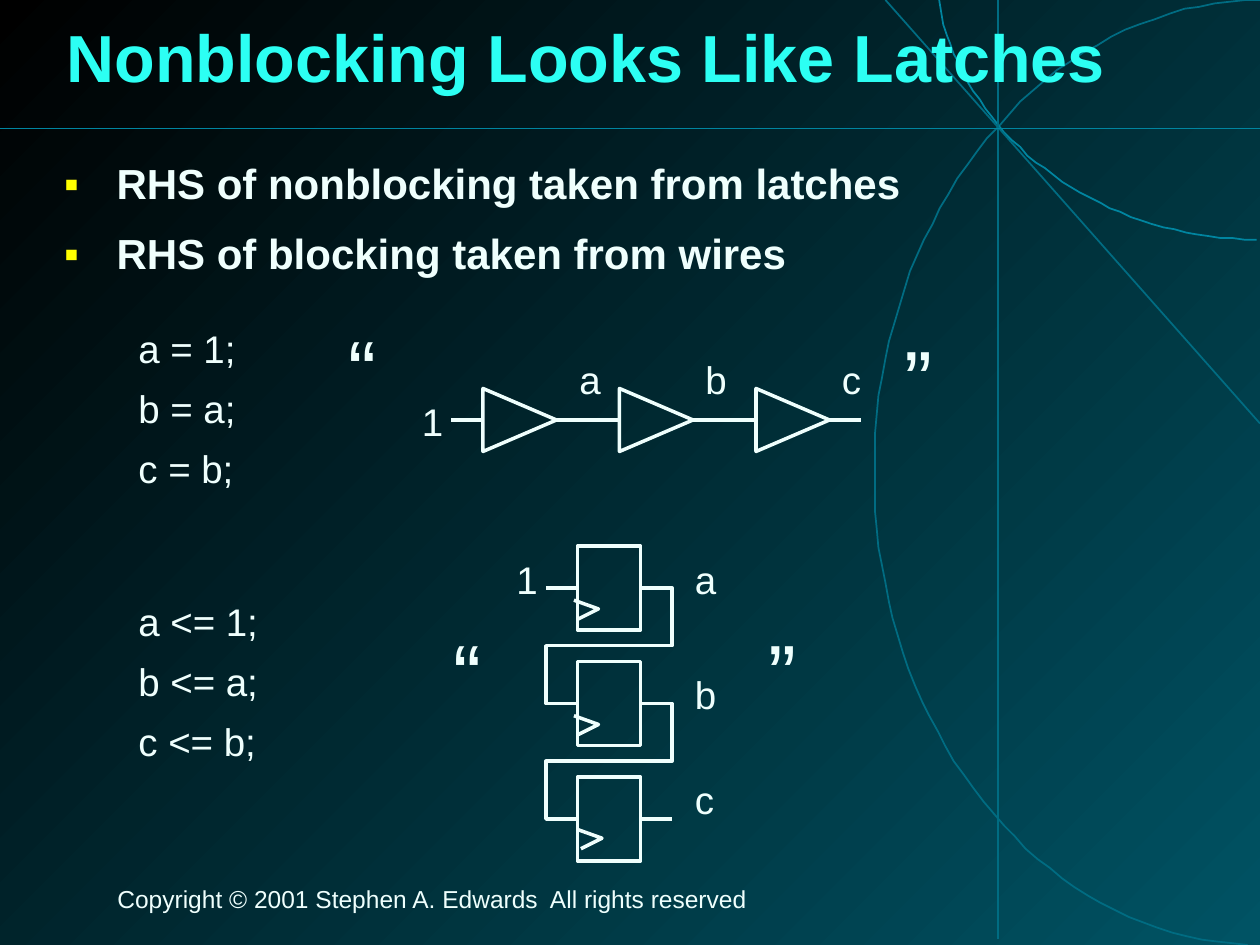
from typing import NamedTuple

from lxml.etree import SubElement
from pptx import Presentation
from pptx.dml.color import RGBColor
from pptx.enum.shapes import MSO_CONNECTOR as Connector, MSO_SHAPE as Shape
from pptx.enum.text import MSO_ANCHOR as Anchor
from pptx.oxml import parse_xml
from pptx.oxml.ns import nsdecls, qn
from pptx.util import Pt

FONT = "Arial"
COLORS = {
    "gradient_start": "000000",
    "gradient_end": "005364",
    "guide": "006C82",
    "bright_guide": "0085A0",
    "title": "2CFFF3",
    "ink": "EFFFFD",
    "bullet": "FFFF00",
}
CURVE_STEPS = 40
CENTER_X = 348  # flip-flop column
FLOP_WIDTH, FLOP_HEIGHT, FLOP_PITCH, FLOP_TOP = 36, 48, 66, 312
LEAD = 18  # wire length beside a flip-flop
BUFFER_WIDTH, BUFFER_HEIGHT, BUFFER_PITCH = 42, 36, 78
BUFFER_LEFT, BUFFER_Y = 276, 240

Point = tuple[float, float]


class TextBlock(NamedTuple):
    left: float
    top: float
    width: float
    height: float
    lines: tuple[str, ...]
    size: float = 22
    color: str = "ink"
    bold: bool = False
    line_spacing: float = 0.85
    space_before: float = 12
    bulleted: bool = False
    shadowed: bool = False
    anchor: Anchor = Anchor.TOP


def label(left: float, top: float, text: str) -> TextBlock:
    return TextBlock(left, top, 30, 29.5, (text,))


def quote(left: float, top: float, text: str) -> TextBlock:
    return TextBlock(left, top, 30, 56, (text,), size=48)


TEXTS = (
    TextBlock(60, 504, 582, 21.6,
              ("Copyright © 2001 Stephen A. Edwards  All rights reserved",), size=14),
    TextBlock(31, 0, 663, 70.5, ("Nonblocking Looks Like Latches",), size=38,
              color="title", bold=True, line_spacing=0.87, shadowed=True,
              anchor=Anchor.MIDDLE),
    TextBlock(29.5, 89.3, 656.6, 402.5,
              ("RHS of nonblocking taken from latches",
               "RHS of blocking taken from wires"),
              size=24, bold=True, line_spacing=0.93, space_before=13, bulleted=True),
    TextBlock(72, 186, 90, 101, ("a = 1;", "b = a;", "c = b;")),
    TextBlock(72, 342, 90, 101, ("a <= 1;", "b <= a;", "c <= b;")),
    label(234, 228, "1"), label(324, 204, "a"), label(396, 204, "b"), label(474, 204, "c"),
    label(288, 318, "1"), label(390, 318, "a"), label(390, 384, "b"), label(390, 444, "c"),
    quote(192, 186, "“"), quote(510, 192, "”"),
    quote(252, 360, "“"), quote(432, 360, "”"),
)


def rgb(name: str) -> RGBColor:
    return RGBColor.from_string(COLORS[name])


def style_outline(shape, color: str = "ink", width: float = 2) -> None:
    shape.shadow.inherit = False
    shape.fill.background()
    shape.line.color.rgb = rgb(color)
    shape.line.width = Pt(width)


def add_line(slide, start: Point, end: Point, color: str = "ink", width: float = 2,
             kind=Connector.STRAIGHT):
    line = slide.shapes.add_connector(kind, *(Pt(value) for value in (*start, *end)))
    line.line.color.rgb = rgb(color)
    line.line.width = Pt(width)
    SubElement(line._element.spPr, qn("a:effectLst"))
    return line


def add_path(slide, points: list[Point], color: str = "ink", width: float = 2) -> None:
    """Draw an open, unfilled outline through the points."""
    builder = slide.shapes.build_freeform(*points[0], scale=Pt(1))
    builder.add_line_segments(points[1:], close=False)
    style_outline(builder.convert_to_shape(), color, width)


def bezier(*controls: Point) -> list[Point]:
    """Sample a cubic curve given by its four control points."""
    points = []
    for step in range(CURVE_STEPS + 1):
        t = step / CURVE_STEPS
        weights = ((1 - t) ** 3, 3 * t * (1 - t) ** 2, 3 * t * t * (1 - t), t ** 3)
        points.append(tuple(sum(weight * control[axis]
                                for weight, control in zip(weights, controls))
                            for axis in (0, 1)))
    return points


def add_bullet(paragraph) -> None:
    properties = paragraph._p.get_or_add_pPr()
    properties.set("marL", str(Pt(30)))
    properties.set("indent", str(-Pt(30)))
    color = SubElement(properties, qn("a:buClr"))
    SubElement(color, qn("a:srgbClr"), val=COLORS["bullet"])
    SubElement(properties, qn("a:buFont"), typeface=FONT)
    SubElement(properties, qn("a:buChar"), char="▪")


def add_text_shadow(run) -> None:
    effect = parse_xml(
        f'<a:effectLst {nsdecls("a")}><a:outerShdw dist="{Pt(4)}" dir="2700000">'
        '<a:srgbClr val="000000"/></a:outerShdw></a:effectLst>')
    run._r.rPr.find(qn("a:solidFill")).addnext(effect)


def add_text(slide, block: TextBlock) -> None:
    box = slide.shapes.add_textbox(*(Pt(value) for value in block[:4]))
    frame = box.text_frame
    frame.word_wrap = True
    frame.vertical_anchor = block.anchor
    for index, line in enumerate(block.lines):
        paragraph = frame.add_paragraph() if index else frame.paragraphs[0]
        if block.bulleted:
            add_bullet(paragraph)
        paragraph.line_spacing = block.line_spacing
        paragraph.space_before = Pt(block.space_before if index else 0)
        run = paragraph.add_run()
        run.text = line
        run.font.name = FONT
        run.font.size = Pt(block.size)
        run.font.bold = block.bold
        run.font.color.rgb = rgb(block.color)
        if block.shadowed:
            add_text_shadow(run)


def draw_background(slide) -> None:
    fill = slide.background.fill
    fill.gradient()
    fill.gradient_angle = 315
    for stop, name in zip(fill.gradient_stops, ("gradient_start", "gradient_end")):
        stop.color.rgb = rgb(name)
    large_arc = (bezier((713, 540), (594, 535), (499.5, 415.5), (499.5, 270))
                 + bezier((499.5, 270), (499.5, 121), (598.5, 0), (721.5, 0))[1:])
    add_path(slide, large_arc, "guide", 1)
    add_path(slide, bezier((718, 137), (625.5, 136), (548, 76.5), (535.5, -3.5)),
             "bright_guide", 1)
    add_line(slide, (720, 242), (506, 0), "guide", 1)
    add_line(slide, (570.5, 0), (570.5, 536.5), "guide", 1)
    add_line(slide, (0, 73.5), (720, 73.5), "bright_guide", 1)


def draw_buffer_chain(slide) -> None:
    wire_start = BUFFER_LEFT - LEAD
    for index in range(3):
        left = BUFFER_LEFT + index * BUFFER_PITCH
        center = left + BUFFER_WIDTH / 2
        # The upright triangle is turned about its center to point right.
        triangle = slide.shapes.add_shape(
            Shape.ISOSCELES_TRIANGLE, Pt(center - BUFFER_HEIGHT / 2),
            Pt(BUFFER_Y - BUFFER_WIDTH / 2), Pt(BUFFER_HEIGHT), Pt(BUFFER_WIDTH))
        triangle.rotation = 90
        style_outline(triangle)
        add_line(slide, (wire_start, BUFFER_Y), (left, BUFFER_Y))
        wire_start = left + BUFFER_WIDTH
    add_line(slide, (wire_start, BUFFER_Y), (wire_start + LEAD, BUFFER_Y))


def add_feed_wire(slide, start: Point, end: Point) -> None:
    """Lead an output round to the next input with a five-part elbow."""
    wire = add_line(slide, start, end, kind=Connector.ELBOW)
    geometry = wire._element.spPr.find(qn("a:prstGeom"))
    geometry.set("prst", "bentConnector5")
    guides = geometry.get_or_add_avLst()
    overshoot = round(100000 * LEAD / FLOP_WIDTH)
    for number, value in enumerate((-overshoot, 50000, 100000 + overshoot), 1):
        SubElement(guides, qn("a:gd"), name=f"adj{number}", fmla=f"val {value}")


def draw_flop_chain(slide) -> None:
    left, right = CENTER_X - FLOP_WIDTH / 2, CENTER_X + FLOP_WIDTH / 2
    flops = []
    for index, (shift_x, shift_y) in enumerate(((0, 0), (0, 0), (1.5, -1))):
        top = FLOP_TOP + index * FLOP_PITCH
        flop = slide.shapes.add_shape(Shape.RECTANGLE, Pt(left), Pt(top),
                                      Pt(FLOP_WIDTH), Pt(FLOP_HEIGHT))
        style_outline(flop)
        flops.append(flop)
        add_path(slide, [(left + x + shift_x, top + y + shift_y)
                         for x, y in ((-1.5, 31), (12, 36), (0, 42))])
        middle = top + FLOP_HEIGHT / 2
        if index:
            add_feed_wire(slide, (right, middle - FLOP_PITCH), (left, middle))
    first_y = FLOP_TOP + FLOP_HEIGHT / 2
    add_line(slide, (left - LEAD, first_y), (left, first_y)).end_connect(flops[0], 1)
    add_line(slide, (right, middle), (right + LEAD, middle)).begin_connect(flops[-1], 3)


def main() -> None:
    presentation = Presentation()
    presentation.slide_width, presentation.slide_height = Pt(720), Pt(540)
    slide = presentation.slides.add_slide(presentation.slide_layouts[6])
    draw_background(slide)
    for block in TEXTS:
        add_text(slide, block)
    draw_buffer_chain(slide)
    draw_flop_chain(slide)
    presentation.save("out.pptx")


if __name__ == "__main__":
    main()
